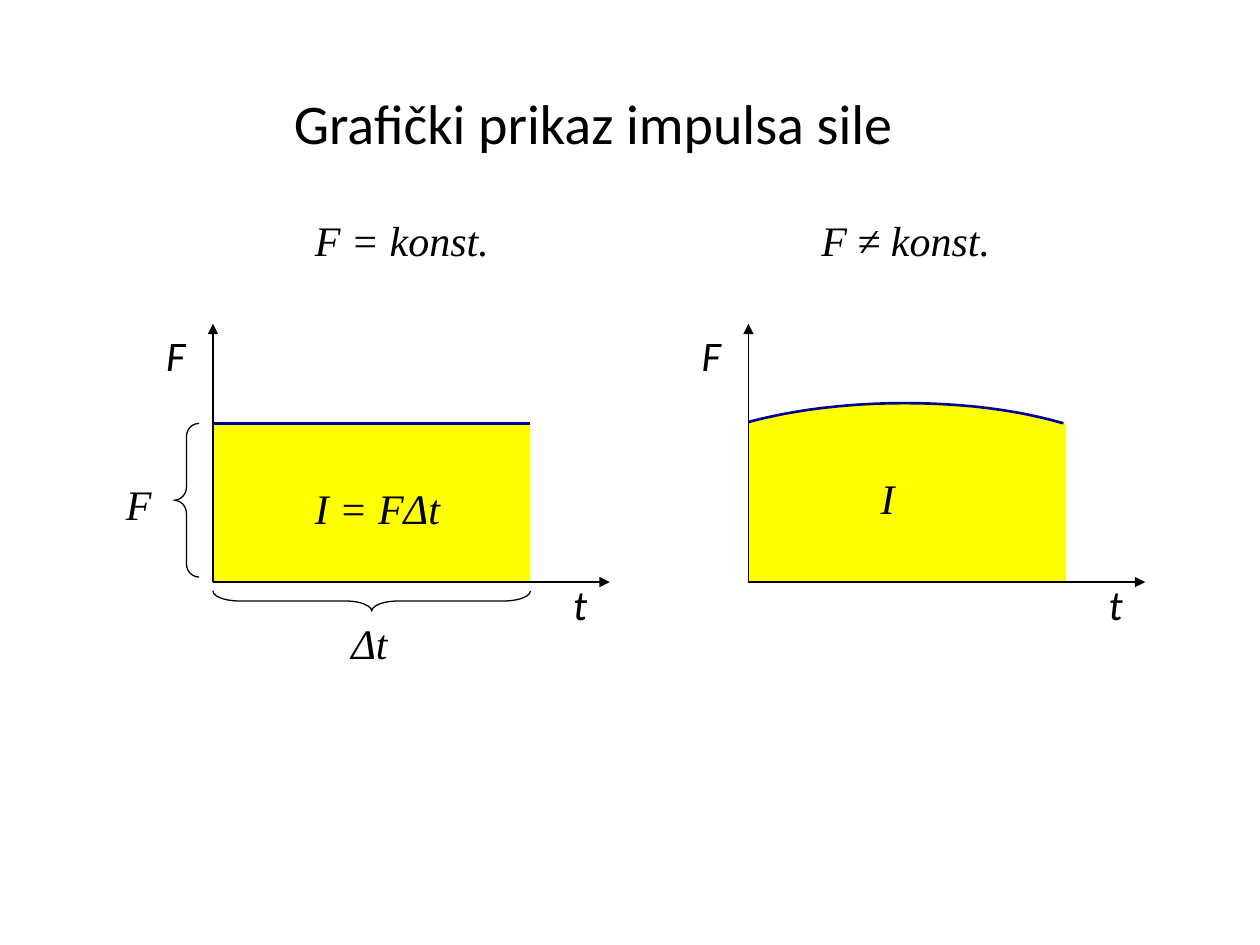
from pptx import Presentation
from pptx.dml.color import RGBColor
from pptx.enum.shapes import MSO_CONNECTOR, MSO_SHAPE
from pptx.enum.text import MSO_ANCHOR, MSO_AUTO_SIZE, PP_ALIGN
from pptx.oxml.ns import qn
from pptx.util import Inches, Pt
from lxml.etree import SubElement

HUES = {name: RGBColor.from_string(code) for name, code in
        {"ink": "000000", "area": "FFFF00", "force": "000099"}.items()}
SERIF = "Times New Roman"

prs = Presentation()
prs.slide_width, prs.slide_height = Inches(10), Inches(7.5)
slide = prs.slides.add_slide(prs.slide_layouts[5])
shapes = slide.shapes


def label(home, text, x, y, wide, face=SERIF, wrap=False):
    box = home.add_textbox(Inches(x), Inches(y), Inches(wide), Inches(0.5))
    frame = box.text_frame
    frame.word_wrap = wrap
    frame.auto_size = MSO_AUTO_SIZE.SHAPE_TO_FIT_TEXT
    frame.text = text
    if face == SERIF:
        frame.vertical_anchor = MSO_ANCHOR.MIDDLE
        frame.paragraphs[0].alignment = PP_ALIGN.JUSTIFY
    font = frame.paragraphs[0].runs[0].font
    font.name, font.size, font.italic = face, Pt(24), True
    font.color.rgb = HUES["ink"]


def line(home, x1, y1, x2, y2, hue, width, arrow=False):
    item = home.add_connector(MSO_CONNECTOR.STRAIGHT, Inches(x1), Inches(y1),
                              Inches(x2), Inches(y2))
    item.line.color.rgb, item.line.width = HUES[hue], Pt(width)
    if arrow:
        SubElement(item.line._get_or_add_ln(), qn("a:tailEnd"), type="triangle")
    SubElement(item._element.spPr, qn("a:effectLst"))


# Title
title = shapes.title
title.left, title.top = Inches(1.98), Inches(0.65)
title.width, title.height = Inches(5.46), Inches(0.63)
frame = title.text_frame
frame.text = "Grafički prikaz impulsa sile"
frame.word_wrap = False
frame.auto_size = MSO_AUTO_SIZE.SHAPE_TO_FIT_TEXT
frame.vertical_anchor = MSO_ANCHOR.TOP
frame.paragraphs[0].alignment = PP_ALIGN.CENTER
font = frame.paragraphs[0].runs[0].font
font.name, font.size, font.color.rgb = "Calibri", Pt(32), HUES["ink"]

# Two graphs: axes cross at (left, base), the area spans wide by base - top
top, base, wide = 3.36, 4.62, 2.52
for left, curved in ((1.69, False), (5.94, True)):
    if curved:
        # Points on two Bezier arcs that meet at the peak
        arcs = (((0, 3.35), (0.37, 3.25), (0.8, 3.2), (1.24, 3.2)),
                ((1.24, 3.2), (1.69, 3.2), (2.12, 3.25), (2.5, 3.36)))
        arch = []
        for a, b, c, d in arcs:
            for step in range(13):
                t = step / 12
                u = 1 - t
                x, y = (u**3 * p + 3*u*u*t * q + 3*u*t*t * r + t**3 * s
                        for p, q, r, s in zip(a, b, c, d))
                arch.append((Inches(left + x), Inches(y)))
        tip = (Inches(left + 1.24), Inches(4.14))
        path = shapes.build_freeform(*arch[0])
        path.add_line_segments(arch[1:] + [tip], close=True)
        cap = path.convert_to_shape()
        cap.shadow.inherit = False
        cap.fill.solid()
        cap.fill.fore_color.rgb = HUES["area"]
        cap.line.fill.background()

    area = shapes.add_shape(MSO_SHAPE.RECTANGLE, Inches(left), Inches(top),
                            Inches(wide), Inches(base - top))
    area.shadow.inherit = False
    area.fill.solid()
    area.fill.fore_color.rgb = HUES["area"]
    area.line.fill.background()
    if not curved:
        line(shapes, left, top, left + wide, top, "force", 1.5)

    # Axes with their names
    axes = shapes.add_group_shape().shapes
    label(axes, "t", left + 2.76, 4.54, 0.29, "Calibri")
    label(axes, "F", left - 0.47, 2.57, 0.4, "Calibri")
    line(axes, left, base, left, 2.57, "ink", 0.75, arrow=True)
    line(axes, left, base, left + 3.15, base, "ink", 0.75, arrow=True)

    if curved:
        path = shapes.build_freeform(*arch[0])
        path.add_line_segments(arch[1:], close=False)
        curve = path.convert_to_shape()
        curve.shadow.inherit = False
        curve.fill.background()
        curve.line.color.rgb, curve.line.width = HUES["force"], Pt(1.5)

# Braces for the time span and the force
for x, y, w, h, turn, bend in ((2.87, 3.51, 0.16, 2.52, 90, 1.33),
                               (1.38, 3.36, 0.2, 1.22, 180, 0.52)):
    brace = shapes.add_shape(MSO_SHAPE.RIGHT_BRACE, Inches(x), Inches(y),
                             Inches(w), Inches(h))
    brace.rotation = turn
    brace.adjustments[0] = bend
    brace.shadow.inherit = False
    brace.fill.background()
    brace.line.color.rgb, brace.line.width = HUES["ink"], Pt(0.75)

# Formulas
for text, x, y, w in (("F = konst.", 2.4, 1.65, 1.58),
                      ("F ≠ konst.", 6.42, 1.65, 1.54),
                      ("I = FΔt", 2.4, 3.78, 1.2),
                      ("I ", 6.89, 3.7, 0.4),
                      ("Δt", 2.69, 4.85, 0.5)):
    label(shapes, text, x, y, w)
label(shapes, "F", 0.9, 3.75, 0.47, wrap=True)

prs.save("out.pptx")
